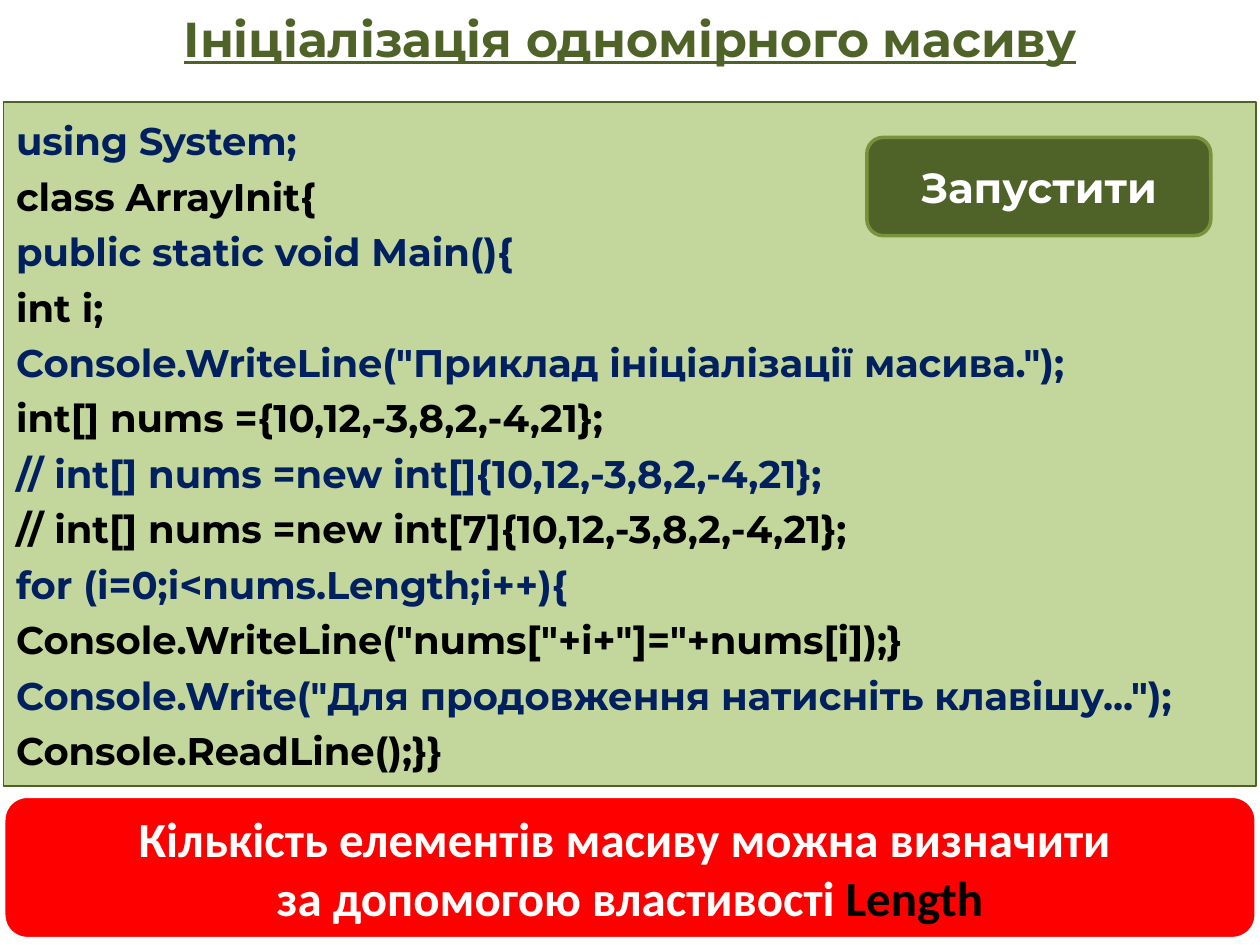
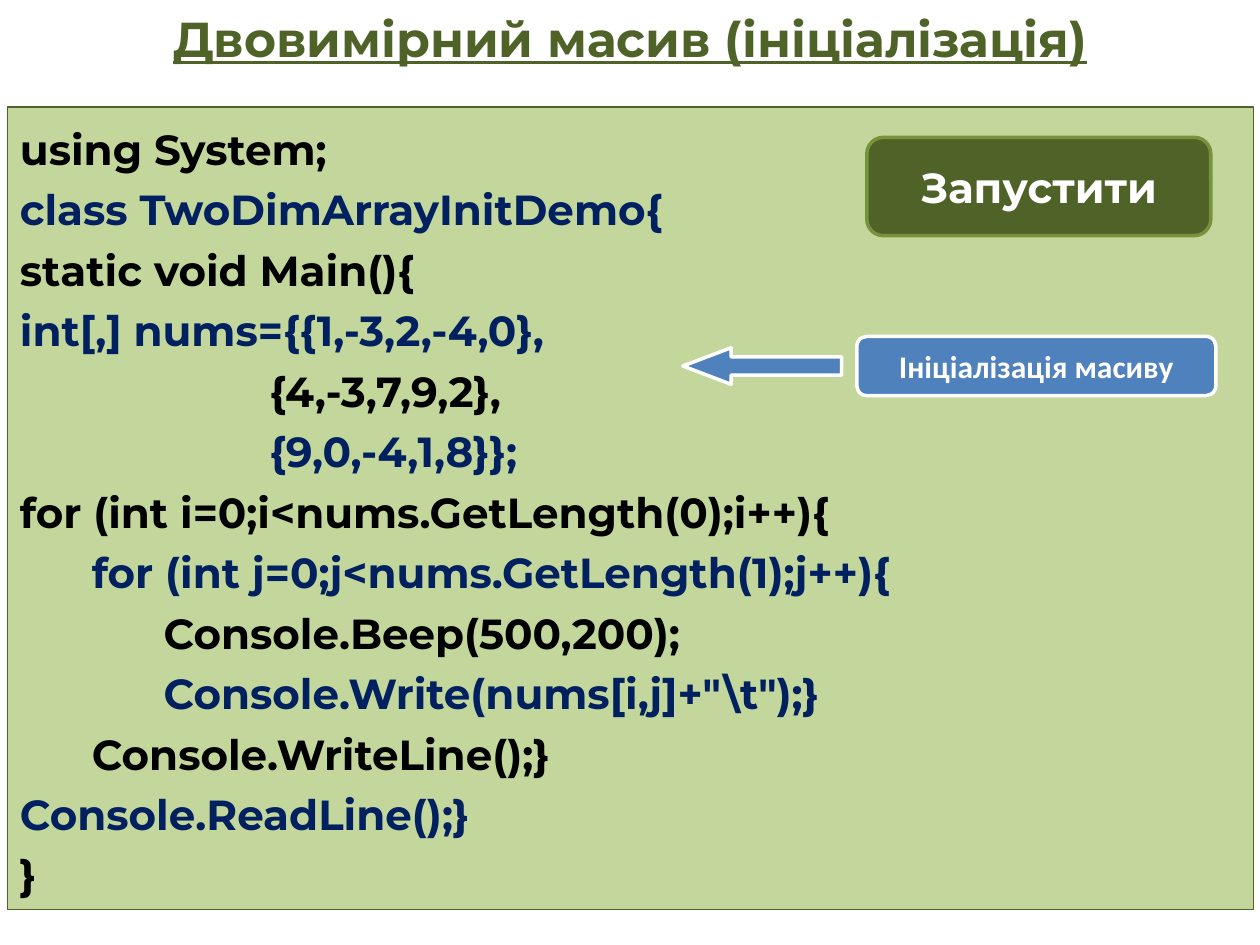
from pptx import Presentation
from pptx import util as u
from pptx.dml import color
from pptx.enum import shapes, text

# Shared look
DARK, MID, LIGHT = "4F6228", "77933C", "C3D69B"
NAVY, BLACK, WHITE = "002060", "000000", "FFFFFF"
RED, BLUE = "FF0000", "4F81BD"
HEAD_FONT, BODY_FONT = "Montserrat", "Calibri"
RUN_BOX = (6.88, 1.09, 2.73, 0.78)

# Code lines as (indent in inches, text)
INIT_CODE = [
    (0, 'using System;'),
    (0, 'class ArrayInit{'),
    (0, 'public static void Main(){'),
    (0, 'int i;'),
    (0, 'Console.WriteLine("Приклад iнiцiалiзацiї масива.");'),
    (0, 'int[] nums ={10,12,-3,8,2,-4,21};'),
    (0, '// int[] nums =new int[]{10,12,-3,8,2,-4,21};'),
    (0, '// int[] nums =new int[7]{10,12,-3,8,2,-4,21};'),
    (0, 'for (i=0;i<nums.Length;i++){'),
    (0, 'Console.WriteLine("nums["+i+"]="+nums[i]);}'),
    (0, 'Console.Write("Для продовження натиснiть клавiшу...");'),
    (0, 'Console.ReadLine();}}'),
]
STEP, ROW_INDENT = 0.57, 1.98
TWO_DIM_CODE = [
    (0, 'using System;'),
    (0, 'class TwoDimArrayInitDemo{'),
    (0, 'static void Main(){'),
    (0, 'int[,] nums={{1,-3,2,-4,0},'),
    (ROW_INDENT, '{4,-3,7,9,2},'),
    (ROW_INDENT, '{9,0,-4,1,8}};'),
    (0, 'for (int i=0;i<nums.GetLength(0);i++){'),
    (STEP, 'for (int j=0;j<nums.GetLength(1);j++){'),
    (2 * STEP, 'Console.Beep(500,200);'),
    (2 * STEP, r'Console.Write(nums[i,j]+"\t");}'),
    (STEP, 'Console.WriteLine();}'),
    (0, 'Console.ReadLine();}'),
    (0, '}'),
]


def rgb(value):
    return color.RGBColor.from_string(value)


def style(font, name, size, hue):
    font.name, font.size, font.bold = name, u.Pt(size), True
    font.color.rgb = rgb(hue)


def add_box(s, kind, box, fill, line, width=2):
    sp = s.shapes.add_shape(kind, *map(u.Inches, box))
    sp.shadow.inherit = False
    sp.fill.solid()
    sp.fill.fore_color.rgb = rgb(fill)
    sp.line.color.rgb = rgb(line)
    sp.line.width = u.Pt(width)
    return sp


def add_title_slide(prs, title):
    s = prs.slides.add_slide(prs.slide_layouts[5])
    sp = s.shapes.title
    sp.left, sp.top, sp.width, sp.height = map(u.Inches, (0, 0, 10, 0.6))
    tf = sp.text_frame
    tf.text = title
    tf.auto_size = text.MSO_AUTO_SIZE.NONE
    tf.vertical_anchor = text.MSO_ANCHOR.MIDDLE
    p = tf.paragraphs[0]
    p.alignment = text.PP_ALIGN.CENTER
    style(p.font, HEAD_FONT, 28, DARK)
    p.font.underline = True
    return s


def add_code(s, box, lines, size, hues):
    """Code panel whose lines alternate between two colours."""
    sp = add_box(s, shapes.MSO_SHAPE.RECTANGLE, box, LIGHT, DARK, 0.75)
    tf = sp.text_frame
    tf.word_wrap = True
    tf.auto_size = text.MSO_AUTO_SIZE.SHAPE_TO_FIT_TEXT
    tf.vertical_anchor = text.MSO_ANCHOR.TOP
    for i, (indent, line) in enumerate(lines):
        p = tf.add_paragraph() if i else tf.paragraphs[0]
        p.text = line
        p.alignment = text.PP_ALIGN.LEFT
        p.line_spacing = 1.2
        p._p.get_or_add_pPr().set("marL", str(u.Inches(indent)))
        style(p.font, HEAD_FONT, size, hues[i % 2])


def add_label(s, box, words, fill, line, font, size):
    """Rounded box with centred white text."""
    sp = add_box(s, shapes.MSO_SHAPE.ROUNDED_RECTANGLE, box, fill, line)
    tf = sp.text_frame
    tf.text = words
    tf.word_wrap = True
    tf.vertical_anchor = text.MSO_ANCHOR.MIDDLE
    for p in tf.paragraphs:
        p.alignment = text.PP_ALIGN.CENTER
        style(p.font, font, size, WHITE)
    return tf


def add_run_button(s):
    add_label(s, RUN_BOX, "Запустити", DARK, MID, HEAD_FONT, 24)


def add_callout(s, box, words):
    """Blue label with a block arrow pointing left from it."""
    left, top, _, height = box
    add_label(s, box, words, BLUE, WHITE, BODY_FONT, 18)
    arrow_w, arrow_h, gap = 1.26, 0.29, 0.12
    arrow_box = (left - gap - arrow_w, top + (height - arrow_h) / 2, arrow_w, arrow_h)
    sp = add_box(s, shapes.MSO_SHAPE.LEFT_ARROW, arrow_box, BLUE, WHITE)
    sp.adjustments[0], sp.adjustments[1] = 0.5, 1.32


def build_init_slide(prs):
    s = add_title_slide(prs, "Ініціалізація одномірного масиву")
    add_code(s, (0.03, 0.81, 9.94, 5.43), INIT_CODE, 22, (NAVY, BLACK))
    add_run_button(s)
    # Note about the array length
    tf = add_label(s, (0.03, 6.32, 9.94, 1.13),
                   "Кількість елементів масиву можна визначити \n"
                   "за допомогою властивості ", RED, WHITE, BODY_FONT, 28)
    r = tf.paragraphs[1].add_run()
    r.text = "Length"
    r.font.color.rgb = rgb(BLACK)
    style(r.font, BODY_FONT, 28, BLACK)


def build_two_dim_slide(prs):
    s = add_title_slide(prs, "Двовимірний масив (ініціалізація)")
    add_code(s, (0.06, 0.85, 9.89, 6.37), TWO_DIM_CODE, 24, (BLACK, NAVY))
    add_run_button(s)
    add_callout(s, (6.8, 2.67, 2.85, 0.47), "Ініціалізація масиву")


def main():
    prs = Presentation()
    prs.slide_width, prs.slide_height = u.Inches(10), u.Inches(7.5)
    build_init_slide(prs)
    build_two_dim_slide(prs)
    prs.save("out.pptx")


if __name__ == "__main__":
    main()
